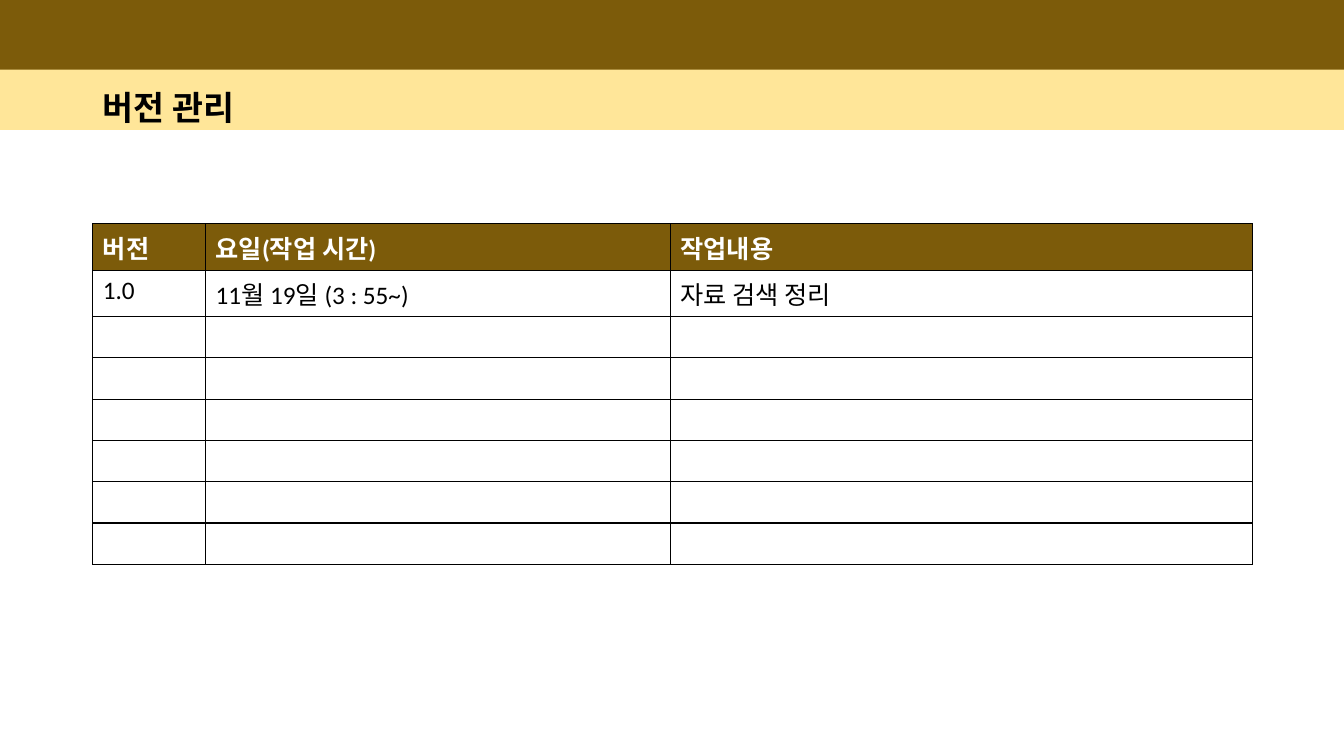
from lxml.etree import SubElement
from pptx import Presentation
from pptx.dml.color import RGBColor
from pptx.enum.shapes import MSO_SHAPE
from pptx.enum.text import MSO_ANCHOR
from pptx.oxml.ns import qn
from pptx.util import Inches, Pt

BROWN = RGBColor(0x7C, 0x5B, 0x0A)
CREAM = RGBColor(0xFF, 0xE6, 0x99)
BLACK = RGBColor(0, 0, 0)
WHITE = RGBColor(0xFF, 0xFF, 0xFF)

SLIDE_WIDTH = 13.33
LEFT_MARGIN = 0.92
COLUMN_WIDTHS = (1.12, 4.61, 5.77)
FILLED_ROW_HEIGHT = 0.46
EMPTY_ROW_HEIGHT = 0.41
EMPTY_ROWS = 6
VERSIONS = [
    ("버전", "요일(작업 시간)", "작업내용"),
    ("1.0", "11월 19일 (3 : 55~)", "자료 검색 정리"),
] + [("", "", "")] * EMPTY_ROWS


class SlideBuilder:
    """Draws styled bands, titles and tables on the current slide."""

    font_name = "Calibri"

    def __init__(self, slide):
        self.slide = slide

    def style(self, paragraph, size, color, bold):
        font = paragraph.font
        font.name = self.font_name
        font.size = Pt(size)
        font.bold = bold
        font.color.rgb = color

    def band(self, top, height, color):
        shape = self.slide.shapes.add_shape(
            MSO_SHAPE.RECTANGLE, 0, Inches(top), Inches(SLIDE_WIDTH), Inches(height))
        shape.shadow.inherit = False
        shape.fill.solid()
        shape.fill.fore_color.rgb = color
        shape.line.fill.background()

    def title(self, text, left, top, width, height):
        box = self.slide.shapes.add_textbox(
            Inches(left), Inches(top), Inches(width), Inches(height))
        frame = box.text_frame
        frame.word_wrap = True
        frame.vertical_anchor = MSO_ANCHOR.MIDDLE
        paragraph = frame.paragraphs[0]
        paragraph.text = text
        paragraph.line_spacing = 1.5
        self.style(paragraph, 24, BLACK, True)

    def cell(self, cell, text, is_header):
        cell.text = text
        self.style(cell.text_frame.paragraphs[0], 18,
                   WHITE if is_header else BLACK, is_header)
        properties = cell._tc.get_or_add_tcPr()
        for side in ("a:lnL", "a:lnR", "a:lnT", "a:lnB"):
            border = SubElement(properties, qn(side), w=str(Pt(1)))
            fill = SubElement(border, qn("a:solidFill"))
            SubElement(fill, qn("a:srgbClr"), val=str(BLACK))
        cell.fill.solid()
        cell.fill.fore_color.rgb = BROWN if is_header else WHITE

    def table(self, rows, left, top, column_widths):
        heights = [FILLED_ROW_HEIGHT if any(texts) else EMPTY_ROW_HEIGHT for texts in rows]
        table = self.slide.shapes.add_table(
            len(rows), len(column_widths), Inches(left), Inches(top),
            Inches(sum(column_widths)), Inches(sum(heights))).table
        for column, width in zip(table.columns, column_widths):
            column.width = Inches(width)
        for row_index, (row, texts) in enumerate(zip(table.rows, rows)):
            row.height = Inches(heights[row_index])
            for cell, text in zip(row.cells, texts):
                self.cell(cell, text, row_index == 0)


def main():
    presentation = Presentation()
    presentation.slide_width = Inches(SLIDE_WIDTH)
    presentation.slide_height = Inches(7.5)
    builder = SlideBuilder(presentation.slides.add_slide(presentation.slide_layouts[6]))
    builder.band(0, 0.71, BROWN)
    builder.band(0.69, 0.6, CREAM)
    builder.title("버전 관리", LEFT_MARGIN, 0.7, sum(COLUMN_WIDTHS), 0.52)
    builder.table(VERSIONS, LEFT_MARGIN, 2.22, COLUMN_WIDTHS)
    presentation.save("out.pptx")


if __name__ == "__main__":
    main()
